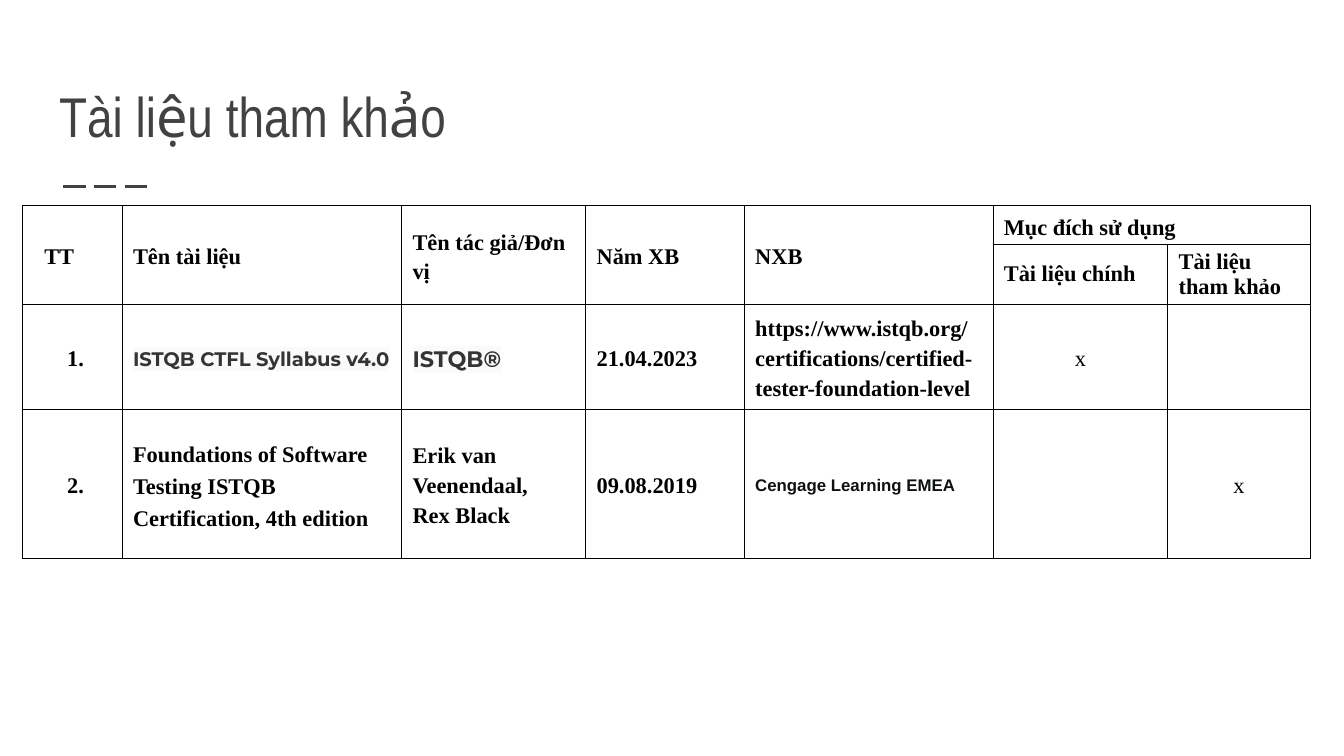
from lxml import etree
from pptx import Presentation
from pptx.dml.color import RGBColor
from pptx.enum.dml import MSO_LINE_DASH_STYLE as Dash
from pptx.enum.lang import MSO_LANGUAGE_ID as Language
from pptx.enum.shapes import MSO_CONNECTOR
from pptx.enum.text import MSO_ANCHOR as Anchor, MSO_AUTO_SIZE as AutoSize, PP_ALIGN as Align
from pptx.oxml import parse_xml
from pptx.oxml.ns import nsdecls, qn
from pptx.util import Inches, Pt

# Content: one list of texts per table row
TITLE = "Tài liệu tham khảo"
HEADERS = ["TT", "Tên tài liệu", "Tên tác giả/Đơn vị", "Năm XB", "NXB", "Mục đích sử dụng", ""]
PURPOSES = ["", "", "", "", "", "Tài liệu chính", "Tài liệu tham khảo"]
SOURCES = [
    ["1.", "ISTQB CTFL Syllabus v4.0", "ISTQB®", "21.04.2023",
     "https://www.istqb.org/certifications/certified-tester-foundation-level", "x", ""],
    ["2.", "Foundations of Software Testing ISTQB Certification, 4th edition",
     "Erik van Veenendaal,\nRex Black", "09.08.2019", "Cengage Learning EMEA", "", "x"],
]
ROWS = [HEADERS, PURPOSES, *SOURCES]

# Grid and formats
SLIDE_WIDTH = Inches(10)
SLIDE_HEIGHT = SLIDE_WIDTH * 9 // 16
COLUMN_WIDTHS = [0.74, 2.08, 1.37, 1.18, 1.85, 1.3, 1.06]
ROW_HEIGHTS = [0.29, 0.42, 0.78, 1.11]
MERGES = [((0, column), (1, column)) for column in range(5)] + [((0, 5), (0, 6))]
COLORS = {"title": "424242", "black": "000000", "gray": "343434", "ink": "0F1111",
          "pale": "FAFAFA", "white": "FFFFFF"}
BASE = {"font": "Times New Roman", "size": 12, "color": "black", "bold": True,
        "spacing": 1.2, "align": Align.LEFT, "indent": 0, "highlight": None}
SPECIAL = {
    (0, 0): {"indent": 0.08},
    (2, 1): {"font": "Montserrat", "size": 10.5, "color": "gray", "highlight": "pale"},
    (2, 2): {"font": "Montserrat", "color": "gray", "highlight": "pale"},
    (3, 1): {"spacing": 1.29},
    (3, 4): {"font": "Arial", "size": 9, "color": "ink", "highlight": "white"},
}


def rgb(name):
    return RGBColor.from_string(COLORS[name])


def style_for(row, column):
    style = dict(BASE)
    if row == 1:
        style["spacing"] = 1.0
    if row > 1 and column == 0:
        style["indent"] = 0.25
    if row > 1 and column > 4:
        style.update(bold=False, align=Align.CENTER)
    return {**style, **SPECIAL.get((row, column), {})}


def format_font(font, style):
    values = {"name": style["font"], "size": Pt(style["size"]), "bold": style["bold"]}
    for key, value in values.items():
        setattr(font, key, value)
    font.color.rgb = rgb(style["color"])


def add_highlight(span, color):
    # The highlight belongs between the fill and the typeface
    mark = parse_xml(f'<a:highlight {nsdecls("a")}><a:srgbClr val="{COLORS[color]}"/></a:highlight>')
    span._r.rPr.find(qn("a:latin")).addprevious(mark)


def add_borders(cell):
    properties = cell._tc.get_or_add_tcPr()
    for side in ("lnL", "lnR", "lnT", "lnB"):
        properties.append(parse_xml(
            f'<a:{side} {nsdecls("a")} w="{Pt(0.5)}"><a:solidFill>'
            f'<a:srgbClr val="{COLORS["black"]}"/></a:solidFill></a:{side}>'))


def fill_cell(cell, text, style):
    frame = {"margin_left": Inches(0.08), "margin_right": Inches(0.08),
             "margin_top": 0, "margin_bottom": 0, "vertical_anchor": Anchor.MIDDLE}
    for key, value in frame.items():
        setattr(cell, key, value)
    add_borders(cell)
    cell.fill.background()
    if not text:
        return
    cell.text = text
    for para in cell.text_frame.paragraphs:
        para.alignment = style["align"]
        para.line_spacing = style["spacing"]
        if style["indent"]:
            para._p.get_or_add_pPr().set("marL", str(Inches(style["indent"])))
        for span in para.runs:
            format_font(span.font, style)
            if style["highlight"]:
                add_highlight(span, style["highlight"])


deck = Presentation()
deck.slide_width, deck.slide_height = SLIDE_WIDTH, SLIDE_HEIGHT
page = deck.slides.add_slide(deck.slide_layouts[5])

# Dashed rule under the title
rule = page.shapes.add_connector(MSO_CONNECTOR.STRAIGHT, Inches(0.47), Inches(1.39),
                                 Inches(1.14), Inches(1.39))
rule.line.color.rgb = rgb("title")
rule.line.width = Pt(1.5)
rule.line.dash_style = Dash.LONG_DASH
etree.SubElement(rule._element.spPr, qn("a:effectLst"))

# Title
title = page.shapes.title
title.left, title.top, title.width, title.height = map(Inches, (0.34, 0.41, 9.32, 0.8))
box = title.text_frame
box.text = TITLE
box.auto_size = AutoSize.NONE
box.word_wrap = True
box.vertical_anchor = Anchor.BOTTOM
for side in ("left", "right", "top", "bottom"):
    setattr(box, f"margin_{side}", Inches(0.1))
box.paragraphs[0].alignment = Align.LEFT
title_font = box.paragraphs[0].runs[0].font
format_font(title_font, {"font": "Arial Narrow", "size": 30, "bold": False, "color": "title"})
title_font.language_id = Language.VIETNAMESE

# Table of references
table = page.shapes.add_table(len(ROWS), len(COLUMN_WIDTHS), Inches(0.17), Inches(1.53),
                              Inches(sum(COLUMN_WIDTHS)), Inches(sum(ROW_HEIGHTS))).table
table.first_row = table.horz_banding = False
for column, width in zip(table.columns, COLUMN_WIDTHS):
    column.width = Inches(width)
for row, height in zip(table.rows, ROW_HEIGHTS):
    row.height = Inches(height)
for start, end in MERGES:
    table.cell(*start).merge(table.cell(*end))
for r, texts in enumerate(ROWS):
    for c, text in enumerate(texts):
        fill_cell(table.cell(r, c), text, style_for(r, c))

deck.save("out.pptx")
